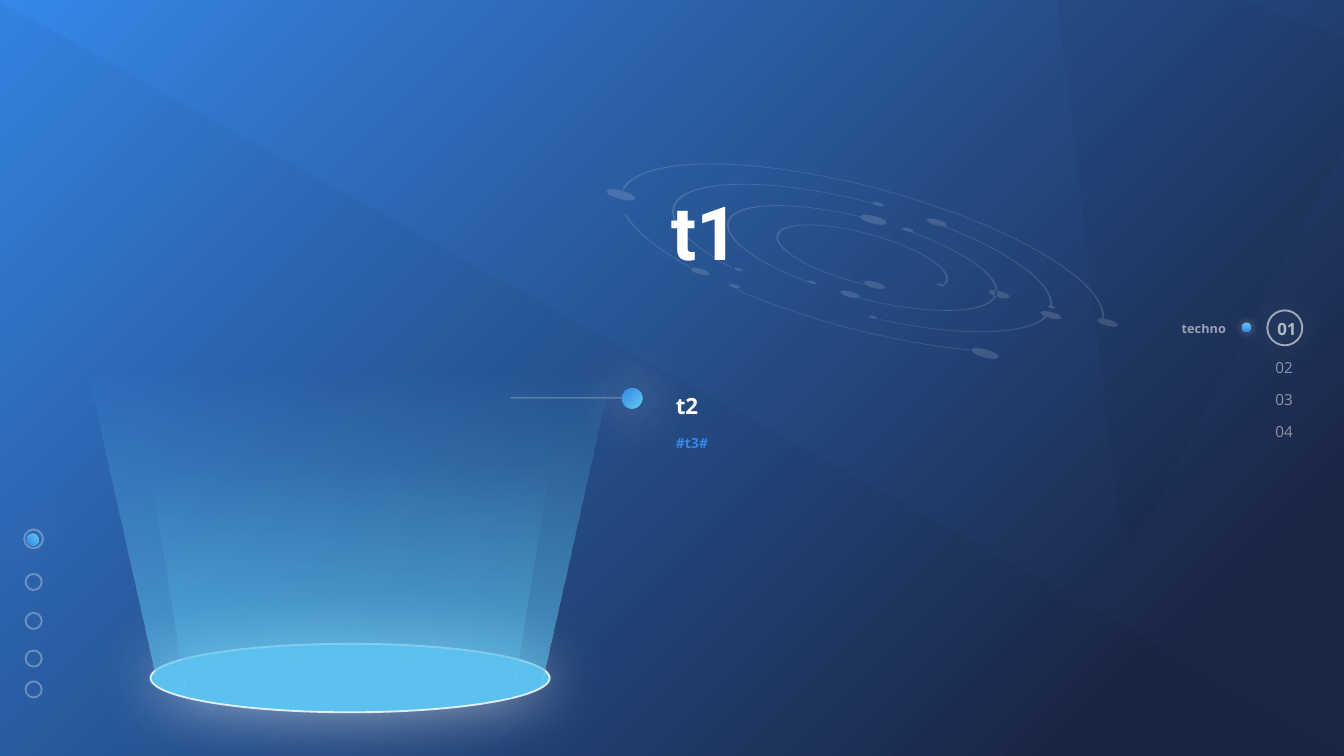
from dataclasses import dataclass
from math import atan2, ceil, cos, pi, radians, sin, tan
from typing import NamedTuple, Optional

from lxml.etree import SubElement
from pptx import Presentation
from pptx.dml.color import RGBColor
from pptx.enum.shapes import MSO_CONNECTOR as CONN, MSO_SHAPE as SHAPE
from pptx.enum.text import MSO_ANCHOR as ANCHOR, MSO_AUTO_SIZE as FIT, PP_ALIGN as ALIGN
from pptx.oxml.ns import qn
from pptx.util import Inches, Pt

# All lengths are in cells of a square grid, 100 columns wide
CELL = Inches(0.1)
COLS, ROWS = 100, 56.25
WHITE, BLACK, SKY, BLUE, NAVY = "FFFFFF", "000000", "5CC1EE", "3687E8", "1B2646"
SANS = "Open Sans"

Stop = NamedTuple("Stop", [("pos", float), ("color", str), ("alpha", float)])
Glow = NamedTuple("Glow", [("alpha", float), ("blur", float)])
Box = NamedTuple("Box", [("x", float), ("y", float), ("w", float), ("h", float)])
Arc = NamedTuple("Arc", [("radius", float), ("start", tuple), ("end", tuple)])
Dot = NamedTuple("Dot", [("x", float), ("y", float), ("radius", float)])


@dataclass
class Figure:
    kind: SHAPE
    box: Box
    fill: str = ""
    fill_alpha: float = 100
    stops: tuple = ()
    angle: float = 0
    line_alpha: float = 0
    glow: Optional[Glow] = None
    rot: float = 0
    adj: Optional[float] = None


@dataclass
class Label:
    text: str
    box: Box
    size: float
    alpha: float = 100
    color: str = WHITE
    font: str = SANS
    bold: bool = True
    align: ALIGN = ALIGN.LEFT
    anchor: ANCHOR = ANCHOR.TOP
    spacing: Optional[float] = None


def rgb(color: str) -> RGBColor:
    return RGBColor.from_string(color)


def cells(*values: float) -> list:
    return [round(v * CELL) for v in values]


def set_alpha(parent, *alphas: float) -> None:
    for clr, alpha in zip(parent.iter(qn("a:srgbClr")), alphas):
        if alpha < 100:
            SubElement(clr, qn("a:alpha"), val=str(round(alpha * 1000)))


def set_gradient(fill, stops: tuple, angle: float) -> None:
    fill.gradient()
    fill.gradient_angle = 360 - angle
    for gs, stop in zip(fill.gradient_stops, stops):
        gs.position = stop.pos / 100
        gs.color.rgb = rgb(stop.color)


def set_solid(sp, color: str, alpha: float) -> None:
    sp.fill.solid()
    sp.fill.fore_color.rgb = rgb(color)
    set_alpha(sp._element.spPr, alpha)


def set_glow(sp, glow: Optional[Glow]) -> None:
    sp.shadow.inherit = False
    if glow:
        effects = sp._element.spPr.find(qn("a:effectLst"))
        shadow = SubElement(effects, qn("a:outerShdw"), blurRad=str(Pt(glow.blur)),
                            dist="0", dir="0", algn="ctr", rotWithShape="0")
        SubElement(shadow, qn("a:srgbClr"), val=WHITE)
        set_alpha(shadow, glow.alpha)


def set_line(sp, width: float, alpha: float) -> None:
    sp.line.color.rgb = rgb(WHITE)
    sp.line.width = Pt(width)
    set_alpha(sp._element.spPr.find(qn("a:ln")), alpha)


def draw_figure(shapes, f: Figure) -> None:
    sp = shapes.add_shape(f.kind, *cells(*f.box))
    sp.rotation = f.rot
    if f.adj is not None:
        sp.adjustments[0] = f.adj
    if f.stops:
        set_gradient(sp.fill, f.stops, f.angle)
        set_alpha(sp._element.spPr, *(s.alpha for s in f.stops))
    elif f.fill:
        set_solid(sp, f.fill, f.fill_alpha)
    else:
        sp.fill.background()
    if f.line_alpha:
        set_line(sp, 1, f.line_alpha)
    else:
        sp.line.fill.background()
    set_glow(sp, f.glow)


def draw_label(shapes, t: Label) -> None:
    tf = shapes.add_textbox(*cells(*t.box)).text_frame
    tf.word_wrap, tf.auto_size = True, FIT.SHAPE_TO_FIT_TEXT
    tf.vertical_anchor = t.anchor
    p = tf.paragraphs[0]
    p.alignment, p.line_spacing = t.align, t.spacing
    r = p.add_run()
    r.text = t.text
    r.font.name, r.font.size, r.font.bold = t.font, Pt(t.size), t.bold
    r.font.color.rgb = rgb(t.color)
    set_alpha(r._r.rPr, t.alpha)


def draw_outline(shapes, corners: list, color: str, alpha: float, glow: Optional[Glow] = None):
    first, *rest = [cells(*pt) for pt in corners]
    builder = shapes.build_freeform(*first, scale=1.0)
    sp = builder.add_line_segments(rest, close=True).convert_to_shape()
    set_solid(sp, color, alpha)
    sp.line.fill.background()
    set_glow(sp, glow)
    return sp


# Orbits and their dots are circles seen flattened and tilted
CENTER, TILT, FLAT = (64.15, 19.2), radians(15), 0.285
ORBIT_BOX = Box(45, 11.5, 38.5, 15.5)


def tilted(cx: float, cy: float, u: float, v: float) -> tuple:
    return cx + u * cos(TILT) - v * FLAT * sin(TILT), cy + u * sin(TILT) + v * FLAT * cos(TILT)


def angle_at(x: float, y: float) -> float:
    dx, dy = x - CENTER[0], y - CENTER[1]
    return atan2((dy * cos(TILT) - dx * sin(TILT)) / FLAT, dx * cos(TILT) + dy * sin(TILT))


def add_step(path, tag: str, *points: tuple) -> None:
    step = SubElement(path, qn(tag))
    for x, y in points:
        px, py = cells(x - ORBIT_BOX.x, y - ORBIT_BOX.y)
        SubElement(step, qn("a:pt"), x=str(px), y=str(py))


def add_curve(path, center: tuple, radius: float, start: float, sweep: float, pieces: int,
              first: str) -> None:
    turn = sweep / pieces
    k = 4 / 3 * tan(turn / 4)
    add_step(path, first, tilted(*center, radius * cos(start), radius * sin(start)))
    for i in range(pieces):
        a, b = start + i * turn, start + (i + 1) * turn
        uv = ((cos(a) - k * sin(a), sin(a) + k * cos(a)),
              (cos(b) + k * sin(b), sin(b) - k * cos(b)), (cos(b), sin(b)))
        add_step(path, "a:cubicBezTo", *(tilted(*center, radius * u, radius * v) for u, v in uv))


def draw_orbits(shapes, arcs: list, dots: list) -> None:
    x, y, w, h = ORBIT_BOX
    sp = draw_outline(shapes, [(x, y), (x + w, y), (x + w, y + h), (x, y + h)], WHITE, 14, Glow(44, 30))
    path = next(sp._element.iter(qn("a:path")))
    for step in list(path):
        path.remove(step)
    for arc in arcs:
        start = angle_at(*arc.start)
        sweep = (angle_at(*arc.end) - start) % (2 * pi)
        pieces = ceil(sweep / (pi / 2))
        add_curve(path, CENTER, arc.radius, start, sweep, pieces, "a:moveTo")
        add_curve(path, CENTER, arc.radius - 0.15, start + sweep, -sweep, pieces, "a:lnTo")
        add_step(path, "a:close")
    for dot in dots:
        add_curve(path, (dot.x, dot.y), dot.radius, 0, 2 * pi, 2, "a:moveTo")
        add_step(path, "a:close")


ARCS = [Arc(*a) for a in (
    (18.6, (46.5, 14.2), (82.4, 23.8)), (18.6, (72.4, 26.2), (55.1, 21.5)),
    (18.6, (51.6, 19.9), (46.7, 16)), (14.6, (54.8, 19.9), (64.9, 15.1)),
    (14.6, (70.3, 16.8), (78.4, 22.8)), (14.6, (77.9, 23.6), (65.4, 23.6)),
    (10.4, (60.2, 20.9), (64.1, 16.1)), (10.4, (68, 17.2), (64, 22.1)),
    (6.6, (64.3, 21.1), (70.1, 21.1)))]
DOTS = [Dot(*d) for d in (
    (46.2, 14.5, 1.1), (73.3, 26.3, 1.05), (52.1, 20.2, 0.7), (54.65, 21.3, 0.45),
    (64.95, 23.6, 0.35), (82.4, 24, 0.8), (78.2, 23.45, 0.8), (78.25, 22.85, 0.3),
    (74.35, 21.9, 0.8), (70, 21.2, 0.3), (65.05, 21.2, 0.8), (60.4, 21, 0.35),
    (63.25, 21.9, 0.75), (54.95, 20.05, 0.35), (65, 16.35, 1), (69.7, 16.55, 0.75),
    (67.55, 17.1, 0.45), (65.35, 15.2, 0.45))]

OVAL = SHAPE.OVAL
SHINE = (Stop(13, SKY, 100), Stop(100, BLUE, 100))
BACKDROP = [Figure(OVAL, Box(11.2, 47.9, 29.7, 5.1), SKY, line_alpha=81, glow=Glow(55, 35)),
            Figure(SHAPE.ISOSCELES_TRIANGLE, Box(68.9, 4.8, 47.9, 24.2), BLACK, 3, rot=83.2, adj=0.262)]
BEAMS = [Figure(SHAPE.TRAPEZOID, box, stops=(Stop(0, SKY, 0), Stop(100, SKY, alpha)),
                angle=270, rot=180, adj=adj)
         for box, alpha, adj in ((Box(6.6, 27.7, 38.8, 23.3), 67, 0.223),
                                 (Box(11.1, 34.5, 29.8, 17.4), 40, 0.162))]
POINTER = Figure(OVAL, Box(46.3, 28.9, 1.5, 1.5), stops=SHINE, angle=225, glow=Glow(77, 28))
PAGER = [Figure(OVAL, Box(2, 39.7, 0.9, 0.9), stops=SHINE, angle=225, rot=270, glow=Glow(54, 31)),
         Figure(OVAL, Box(1.8, 39.4, 1.4, 1.4), line_alpha=31)]
PAGER += [Figure(OVAL, Box(1.9, y, 1.2, 1.2), line_alpha=31) for y in (42.7, 45.6, 48.4, 50.7)]
MENU = [Figure(OVAL, Box(94.3, 23.1, 2.6, 2.6), line_alpha=58, glow=Glow(60, 16)),
        Figure(OVAL, Box(92.4, 24, 0.7, 0.7), stops=SHINE, angle=90, glow=Glow(40, 5))]
LABELS = [Label("t1", Box(49, 13.3, 42.6, 7.7), 40, font="Roboto", anchor=ANCHOR.MIDDLE),
          Label("t2", Box(49.3, 28, 37.3, 3.7), 12, anchor=ANCHOR.BOTTOM, spacing=1.5),
          Label("#t3#", Box(49.3, 31.2, 37.3, 2.7), 7.5, color=BLUE, spacing=1.5),
          Label("01", Box(94, 23.2, 3.5, 2.5), 9, 66, align=ALIGN.CENTER),
          Label("techno", Box(86.3, 23.4, 5.9, 2.1), 6.8, 55, align=ALIGN.RIGHT)]
LABELS += [Label(f"{n:02}", Box(93.8, 26.2 + 2.35 * (n - 2), 3.5, 2.4), 8.2, 50, bold=False,
                 align=ALIGN.CENTER) for n in (2, 3, 4)]

prs = Presentation()
prs.slide_width, prs.slide_height = cells(COLS, ROWS)
s = prs.slides.add_slide(prs.slide_layouts[6])
# Background with a darker lower half, light pool and orbits
set_gradient(s.background.fill, (Stop(13, NAVY, 100), Stop(100, BLUE, 100)), 225)
draw_outline(s.shapes, [(0, 0.1), (COLS, 55.7), (COLS, ROWS), (0, ROWS)], BLACK, 3)
for figure in BACKDROP:
    draw_figure(s.shapes, figure)
draw_orbits(s.shapes, ARCS, DOTS)
# Beams, pointer line, pager and menu
for figure in BEAMS:
    draw_figure(s.shapes, figure)
pointer_line = s.shapes.add_connector(CONN.STRAIGHT, *cells(38, 29.6, 46.3, 29.6))
set_line(pointer_line, 0.5, 37)
SubElement(pointer_line._element.spPr, qn("a:effectLst"))
for figure in [POINTER, *PAGER, *MENU]:
    draw_figure(s.shapes, figure)
for label in LABELS:
    draw_label(s.shapes, label)
prs.save("out.pptx")
